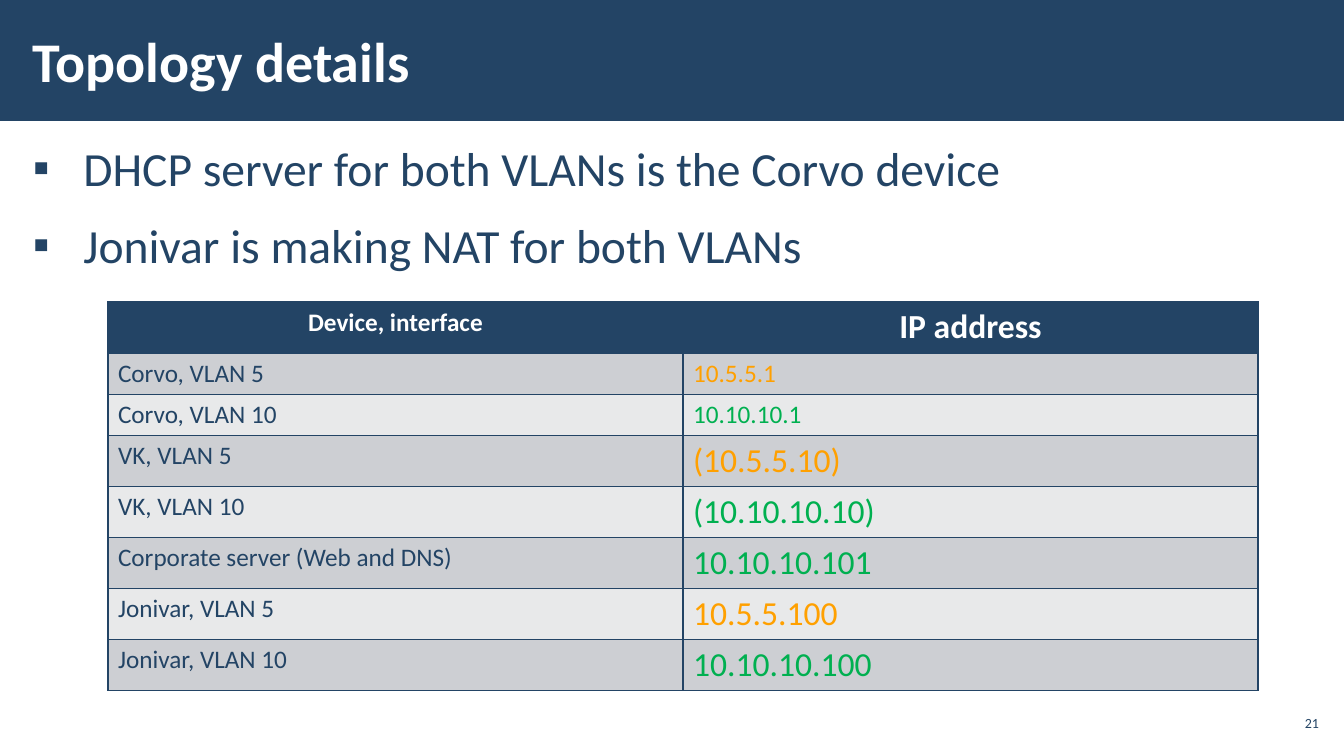
from lxml import etree
from pptx import Presentation, util as u
from pptx.dml.color import RGBColor
from pptx.enum import shapes, text
from pptx.oxml.ns import qn

PX = 914400 / 100.8
COLOURS = {"navy": "234465", "white": "FFFFFF", "vlan5": "FFA000",
           "vlan10": "00B050", "odd": "CDCFD3", "even": "E8E9EA"}
FONT = "Calibri"
BULLETS = ["DHCP server for both VLANs is the Corvo device",
           "Jonivar is making NAT for both VLANs"]
# interface, address, colour of the address, size of the address
ADDRESSES = [
    ("Corvo, VLAN 5", "10.5.5.1", "vlan5", 18),
    ("Corvo, VLAN 10", "10.10.10.1", "vlan10", 18),
    ("VK, VLAN 5", "(10.5.5.10)", "vlan5", 24),
    ("VK, VLAN 10", "(10.10.10.10)", "vlan10", 24),
    ("Corporate server (Web and DNS)", "10.10.10.101", "vlan10", 24),
    ("Jonivar, VLAN 5", "10.5.5.100", "vlan5", 24),
    ("Jonivar, VLAN 10", "10.10.10.100", "vlan10", 24),
]


def px(length):
    return u.Emu(round(length * PX))


def rgb(name):
    return RGBColor.from_string(COLOURS[name])


def style(paragraph, size, colour, bold=False, align=text.PP_ALIGN.LEFT):
    paragraph.alignment = align
    font = paragraph.font
    font.name, font.size, font.bold = FONT, u.Pt(size), bold
    font.color.rgb = rgb(colour)


def place(shape, left, top, width, height, anchor, side=12):
    """Set the box of a text shape, its insets and its anchor."""
    shape.left, shape.top = px(left), px(top)
    shape.width, shape.height = px(width), px(height)
    frame = shape.text_frame
    frame.word_wrap = True
    frame.auto_size = text.MSO_AUTO_SIZE.NONE
    frame.vertical_anchor = anchor
    frame.margin_left = frame.margin_right = px(side)
    frame.margin_top = frame.margin_bottom = px(4)
    return frame


def add_header(slide, left, top, width, height):
    band = slide.shapes.add_shape(shapes.MSO_SHAPE.RECTANGLE,
                                  px(left), px(top), px(width), px(height))
    band.shadow.inherit = False
    band.fill.solid()
    band.fill.fore_color.rgb = rgb("navy")
    band.line.fill.background()
    slide.shapes._spTree.insert(2, band._element)  # behind the title

    frame = place(slide.shapes.title, left + 21, top + 11, 1048, height - 23,
                  text.MSO_ANCHOR.MIDDLE)
    frame.text = "Topology details"
    style(frame.paragraphs[0], 40, "white", bold=True)


def add_bullets(slide, left, top, width, height):
    frame = place(slide.placeholders[1], left, top, width, height,
                  text.MSO_ANCHOR.TOP)
    frame.text = "\n".join(BULLETS)
    for index, paragraph in enumerate(frame.paragraphs):
        properties = paragraph._p.get_or_add_pPr()
        properties.set("marL", str(u.Inches(0.5)))
        properties.set("indent", str(-u.Inches(0.5)))
        etree.SubElement(properties, qn("a:buChar"), char="▪")
        paragraph.line_spacing = 1.05
        paragraph.space_before = u.Pt(6 if index else 0)
        paragraph.space_after = u.Pt(6)
        style(paragraph, 34, "navy")


def fill_cell(cell, wording, fill, size, colour, **look):
    cell.text = wording
    style(cell.text_frame.paragraphs[0], size, colour, **look)
    properties = cell._tc.get_or_add_tcPr()
    for side in ("a:lnL", "a:lnR", "a:lnT", "a:lnB"):
        border = etree.SubElement(properties, qn(side), w=str(u.Pt(1)))
        solid = etree.SubElement(border, qn("a:solidFill"))
        etree.SubElement(solid, qn("a:srgbClr"), val=COLOURS["navy"])
    cell.fill.solid()
    cell.fill.fore_color.rgb = rgb(fill)


def add_addresses(slide, left, top, width, row_height):
    rows = len(ADDRESSES) + 1
    table = slide.shapes.add_table(rows, 2, px(left), px(top), px(width),
                                   px(row_height * rows)).table
    heading = {"bold": True, "align": text.PP_ALIGN.CENTER}
    fill_cell(table.cell(0, 0), "Device, interface", "navy", 18, "white", **heading)
    fill_cell(table.cell(0, 1), "IP address", "navy", 24, "white", **heading)
    for row, (interface, address, vlan, size) in enumerate(ADDRESSES, 1):
        fill = "odd" if row % 2 else "even"
        fill_cell(table.cell(row, 0), interface, fill, 18, "navy")
        fill_cell(table.cell(row, 1), address, fill, size, vlan)


def add_page_number(slide, left, top, width, height):
    box = slide.shapes.add_textbox(0, 0, 0, 0)
    frame = place(box, left, top, width, height, text.MSO_ANCHOR.MIDDLE, side=4)
    frame.text = "21"
    style(frame.paragraphs[0], 10, "navy", align=text.PP_ALIGN.RIGHT)


def main():
    deck = Presentation()
    deck.slide_width, deck.slide_height = px(1344), px(756)
    slide = deck.slides.add_slide(deck.slide_layouts[1])
    add_header(slide, 0, 0, 1344, 121)
    add_bullets(slide, 21, 132, 1302, 574)
    add_addresses(slide, 108, 302, 1150, 41)
    add_page_number(slide, 1275, 706, 48, 34)
    deck.save("out.pptx")


if __name__ == "__main__":
    main()
